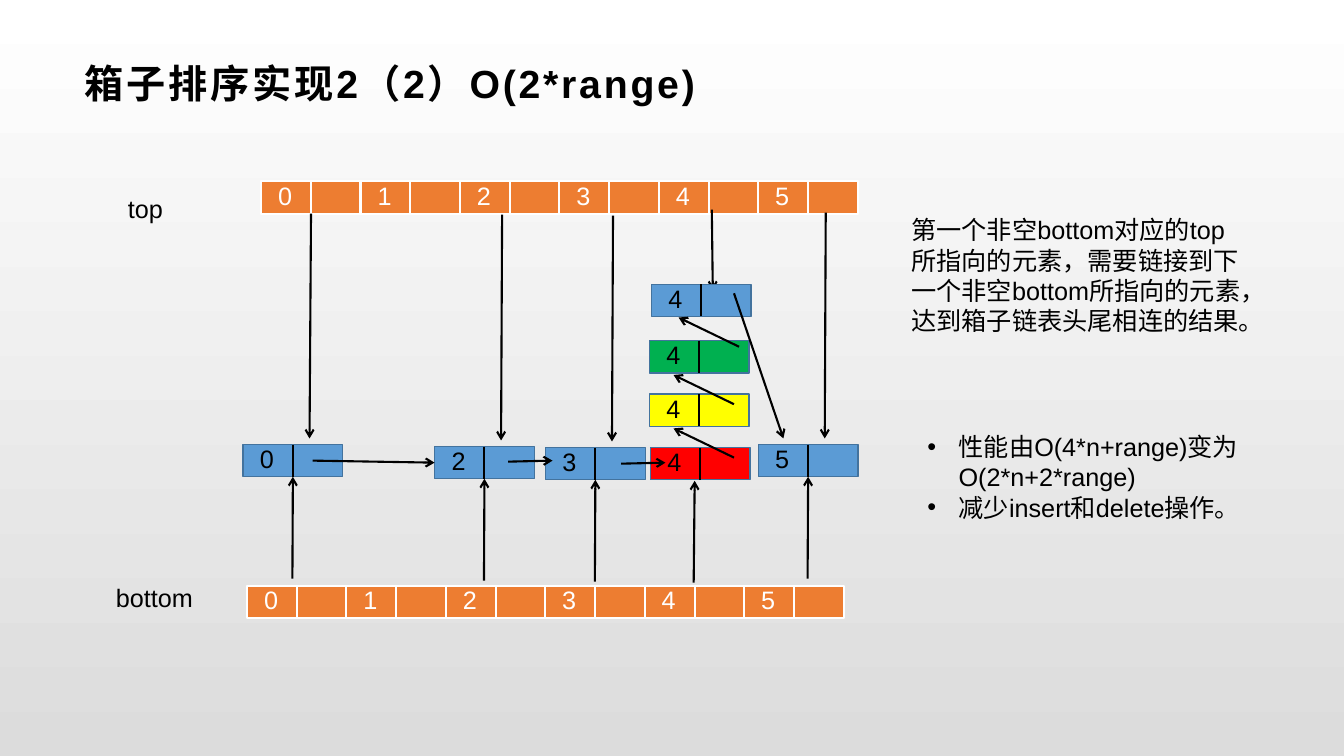
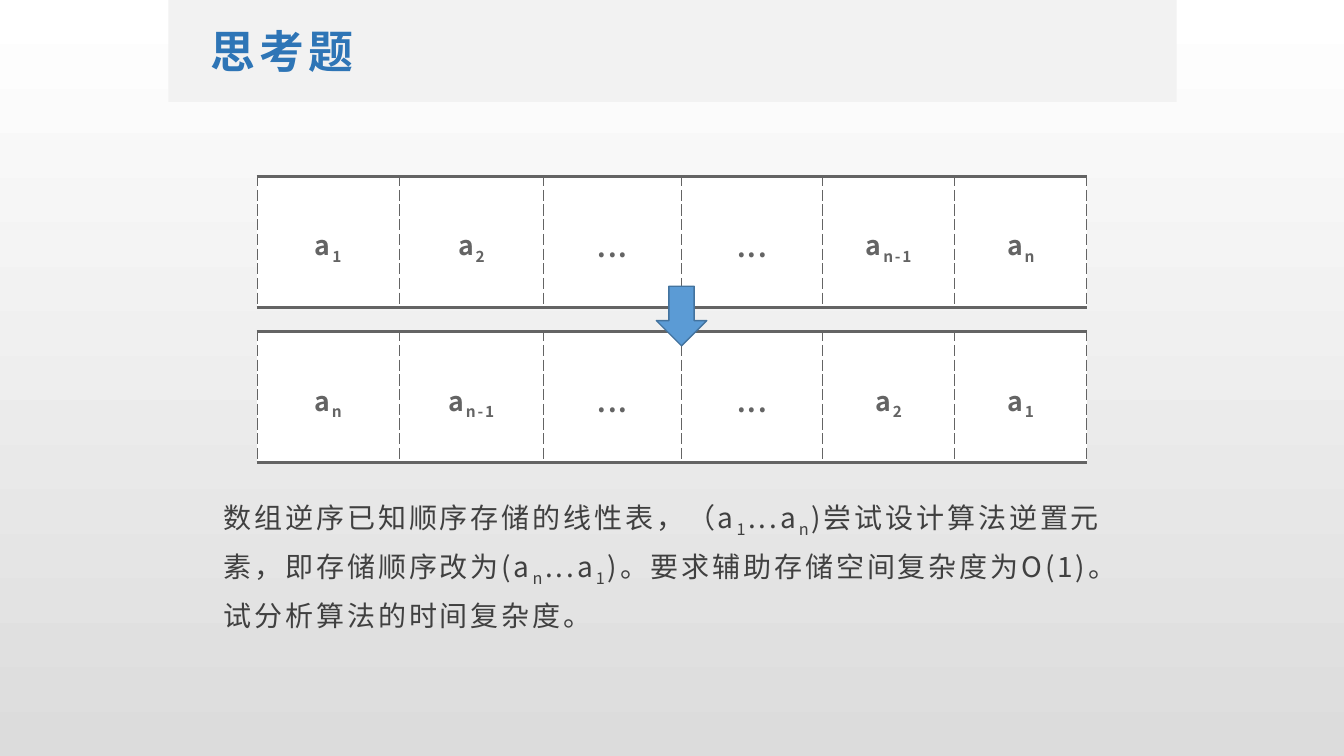
from lxml import etree
from pptx import Presentation
from pptx.dml.color import RGBColor
from pptx.enum.shapes import MSO_CONNECTOR, MSO_SHAPE
from pptx.enum.text import MSO_ANCHOR, PP_ALIGN
from pptx.oxml.ns import qn
from pptx.util import Inches, Pt

STRAIGHT = MSO_CONNECTOR.STRAIGHT
RECTANGLE = MSO_SHAPE.RECTANGLE
DOWN_ARROW = MSO_SHAPE.DOWN_ARROW
MIDDLE = MSO_ANCHOR.MIDDLE
TOP = MSO_ANCHOR.TOP
CENTER = PP_ALIGN.CENTER

LATIN = "Arial"
CJK = "Noto Sans CJK SC"
BLACK, WHITE = "000000", "FFFFFF"
ORANGE, BLUE, BLUE_EDGE = "ED7D31", "5B9BD5", "43739E"
RED, YELLOW, GREEN = "FF0000", "FFFF00", "00B050"
BACKGROUND_END, BAND = "DCDCDC", "F2F2F2"
HEADING_BLUE, BODY_GRAY, TABLE_GRAY = "2E75B6", "404040", "646464"

BOX_W, BOX_H = 0.99, 0.32
BIN_COUNT, BIN_SPAN = 6, 4.93
DEFAULT_INSETS = (0.1, 0.05, 0.1, 0.05)
SLIM_INSETS = (0.05, 0.02, 0.05, 0.02)
BOTTOM_SIDE, LEFT_SIDE = 2, 1


def rgb(value):
    """Turn a hex string into a colour."""
    return RGBColor.from_string(value)


def add_slide(deck):
    """Add a blank slide with the shared gradient background."""
    slide = deck.slides.add_slide(deck.slide_layouts[6])
    fill = slide.background.fill
    fill.gradient()
    fill.gradient_angle = 270
    for stop, position, color in zip(fill.gradient_stops, (0, 1), (WHITE, BACKGROUND_END)):
        stop.position = position
        stop.color.rgb = rgb(color)
    return slide


def style_paragraph(paragraph, size, color, font=LATIN, bold=False, spacing=0):
    """Set the font of a whole paragraph."""
    paragraph.font.size = Pt(size)
    paragraph.font.bold = bold
    paragraph.font.color.rgb = rgb(color)
    paragraph.font.name = font
    defaults = paragraph._p.pPr.find(qn("a:defRPr"))
    defaults.set("spc", str(round(spacing * 100)))
    etree.SubElement(defaults, qn("a:ea")).set("typeface", CJK)


def write_runs(paragraph, text):
    """Write text in which parts between bars are subscripts."""
    for index, part in enumerate(text.split("|")):
        if part:
            run = paragraph.add_run()
            run.text = part
            if index % 2:
                run._r.get_or_add_rPr().set("baseline", "-25000")


def add_text(shapes, box, lines, size=18, color=BLACK, insets=DEFAULT_INSETS,
             anchor=TOP, **style):
    """Add a text box with one paragraph per line and return its paragraphs."""
    frame = shapes.add_textbox(*map(Inches, box)).text_frame
    frame.word_wrap = True
    frame.vertical_anchor = anchor
    (frame.margin_left, frame.margin_top,
     frame.margin_right, frame.margin_bottom) = map(Inches, insets)
    for index, line in enumerate(lines):
        paragraph = frame.add_paragraph() if index else frame.paragraphs[0]
        write_runs(paragraph, line)
        style_paragraph(paragraph, size, color, **style)
    return frame.paragraphs


def add_bullet(paragraph):
    """Give a paragraph a hanging round bullet."""
    properties = paragraph._p.pPr
    properties.set("marL", str(Inches(0.31)))
    properties.set("indent", str(-Inches(0.31)))
    defaults = properties.find(qn("a:defRPr"))
    for tag, key, value in (("a:buFont", "typeface", LATIN), ("a:buChar", "char", "•")):
        mark = etree.Element(qn(tag))
        mark.set(key, value)
        defaults.addprevious(mark)


def add_block(shapes, preset, box, fill, edge=None, width=1):
    """Add a filled preset shape, with an outline if an edge colour is given."""
    block = shapes.add_shape(preset, *map(Inches, box))
    block.shadow.inherit = False
    block.fill.solid()
    block.fill.fore_color.rgb = rgb(fill)
    if edge:
        block.line.color.rgb = rgb(edge)
        block.line.width = Pt(width)
    else:
        block.line.fill.background()
    return block


def add_line(shapes, start, end, color=BLACK, arrow=False):
    """Add a straight line, with an arrowhead at its end if asked."""
    line = shapes.add_connector(STRAIGHT, *map(Inches, (*start, *end)))
    line.line.color.rgb = rgb(color)
    line.line.width = Pt(1.5)
    if arrow:
        etree.SubElement(line.line._get_or_add_ln(), qn("a:tailEnd")).set("type", "arrow")
    etree.SubElement(line._element.spPr, qn("a:effectLst"))
    return line


def add_node(slide, left, top, label, fill, edge, ink, width):
    """Add a grouped list node with a value half and a link half."""
    parts = slide.shapes.add_group_shape().shapes
    block = add_block(parts, RECTANGLE, (left, top, BOX_W, BOX_H), fill, edge, width)
    middle = left + BOX_W / 2
    add_line(parts, (middle, top), (middle, top + BOX_H), ink)
    add_text(parts, (left + 0.07, top - 0.06, 0.35, 0.4), [label], color=ink)
    return block


def add_bins(slide, left, top):
    """Add a row of numbered bins and return their blocks."""
    step = BIN_SPAN / (BIN_COUNT - 1)
    return [add_node(slide, left + step * index, top, str(index), ORANGE, WHITE, WHITE, 1.5)
            for index in range(BIN_COUNT)]


def add_element(slide, left, top, label, fill=BLUE):
    """Add one list element."""
    return add_node(slide, left, top, label, fill, BLUE_EDGE, BLACK, 1)


def add_bin_lists(slide, top_bins):
    """Add the elements of each bin with the top, bottom and link arrows."""
    shapes = slide.shapes
    elements = {}
    for label, left, top in (("0", 2.41, 4.41), ("2", 4.31, 4.43),
                             ("3", 5.41, 4.44), ("5", 7.52, 4.41)):
        elements[label] = add_element(slide, left, top, label)
        from_top = add_line(shapes, (left + 0.67, top - 2.3),
                            (left + 0.66, top - 0.06), arrow=True)
        if label == "0":
            from_top.begin_connect(top_bins[0], BOTTOM_SIDE)
        from_bottom = add_line(shapes, (left + 0.49, top + 1.33),
                               (left + 0.5, top + 0.33), arrow=True)
        from_bottom.end_connect(elements[label], BOTTOM_SIDE)

    add_line(shapes, (7.06, 2.08), (7.07, 2.88), arrow=True)
    for left, top, fill in ((6.45, 4.44, RED), (6.44, 3.91, YELLOW),
                            (6.44, 3.38, GREEN), (6.46, 2.82, BLUE)):
        add_element(slide, left, top, "4", fill)
    add_line(shapes, (6.88, 5.78), (6.89, 4.77), arrow=True)
    for left, top in ((6.68, 4.25), (6.68, 3.72), (6.73, 3.15)):
        add_line(shapes, (left + 0.6, top + 0.29), (left, top), arrow=True)

    first_link = add_line(shapes, (3.1, 4.57), (4.31, 4.58), arrow=True)
    first_link.end_connect(elements["2"], LEFT_SIDE)
    for start, end in (((5.04, 4.58), (5.48, 4.57)), ((6.16, 4.6), (6.6, 4.59)),
                       ((7.28, 2.91), (7.77, 4.35))):
        add_line(shapes, start, end, arrow=True)


def build_bin_sort(deck):
    """Build the slide on bin sort with top and bottom pointers."""
    slide = add_slide(deck)
    shapes = slide.shapes
    add_text(shapes, (0.73, 0.47, 11.87, 0.71), ["箱子排序实现2（2）O(2*range)"], size=28,
             insets=(0.11, 0.04, 0.08, 0.04), anchor=MIDDLE, bold=True, spacing=2)
    top_bins = add_bins(slide, 2.59, 1.8)
    add_text(shapes, (1.17, 1.87, 1.07, 0.4), ["top"])
    add_bins(slide, 2.45, 5.81)
    add_text(shapes, (1.05, 5.73, 1.07, 0.4), ["bottom"])
    add_bin_lists(slide, top_bins)
    add_text(shapes, (8.94, 2.08, 3.5, 1.31),
             ["第一个非空bottom对应的top所指向的元素，需要链接到下一个非空bottom所指向的元素，"
              "达到箱子链表头尾相连的结果。"])
    for paragraph in add_text(shapes, (9.1, 4.23, 3.5, 1.01),
                              ["性能由O(4*n+range)变为O(2*n+2*range)",
                               "减少insert和delete操作。"]):
        add_bullet(paragraph)


def set_borders(cell):
    """Give a cell dashed sides and solid top and bottom borders."""
    properties = cell._tc.get_or_add_tcPr()
    for index, (tag, width, dash) in enumerate((("a:lnL", 0.75, "sysDash"),
                                                ("a:lnR", 0.75, "sysDash"),
                                                ("a:lnT", 2.25, "solid"),
                                                ("a:lnB", 2.25, "solid"))):
        border = etree.Element(qn(tag))
        border.set("w", str(Pt(width)))
        fill = etree.SubElement(border, qn("a:solidFill"))
        etree.SubElement(fill, qn("a:srgbClr")).set("val", TABLE_GRAY)
        etree.SubElement(border, qn("a:prstDash")).set("val", dash)
        properties.insert(index, border)


def add_array(shapes, left, top, items):
    """Add a one-row table showing the array items."""
    widths = (1.41, 1.43, 1.37, 1.4, 1.31, 1.31)
    box = (left, top, sum(widths), 1.3)
    table = shapes.add_table(1, len(items), *map(Inches, box)).table
    table.first_row = table.horz_banding = False
    for column, width, cell, item in zip(table.columns, widths, table.rows[0].cells, items):
        column.width = Inches(width)
        cell.fill.solid()
        cell.fill.fore_color.rgb = rgb(WHITE)
        cell.vertical_anchor = MIDDLE
        cell.margin_left = cell.margin_right = Inches(0.24)
        cell.margin_top = cell.margin_bottom = Inches(0.15)
        paragraph = cell.text_frame.paragraphs[0]
        paragraph.alignment = CENTER
        paragraph.line_spacing = 1.2
        write_runs(paragraph, item)
        style_paragraph(paragraph, 19, TABLE_GRAY, font=CJK, bold=True, spacing=1.3)
        set_borders(cell)


def build_exercise(deck):
    """Build the exercise slide on reversing an array."""
    shapes = add_slide(deck).shapes
    add_block(shapes, RECTANGLE, (1.67, 0, 10, 1.01), BAND)
    add_text(shapes, (2.04, 0.17, 9.25, 0.67), ["思考题"], size=32, color=HEADING_BLUE,
             insets=SLIM_INSETS, anchor=MIDDLE, font=CJK, bold=True, spacing=3)
    items = ["a|1|", "a|2|", "...", "...", "a|n-1|", "a|n|"]
    add_array(shapes, 2.55, 1.75, items)
    question = add_text(
        shapes, (2.17, 4.83, 9, 2.33),
        ["数组逆序已知顺序存储的线性表，（a|1|...a|n|)尝试设计算法逆置元素，即存储顺序改为"
         "(a|n|...a|1|)。要求辅助存储空间复杂度为O(1)。试分析算法的时间复杂度。"],
        size=20, color=BODY_GRAY, insets=SLIM_INSETS, font=CJK, spacing=2)[0]
    question.line_spacing = 1.3
    question.space_after = Pt(8)
    add_array(shapes, 2.55, 3.29, items[::-1])
    add_block(shapes, DOWN_ARROW, (6.51, 2.84, 0.5, 0.59), BLUE, BLUE_EDGE)


def main():
    """Build both slides and save the deck."""
    deck = Presentation()
    deck.slide_width = Inches(13.33)
    deck.slide_height = Inches(7.5)
    build_bin_sort(deck)
    build_exercise(deck)
    deck.save("out.pptx")


if __name__ == "__main__":
    main()
